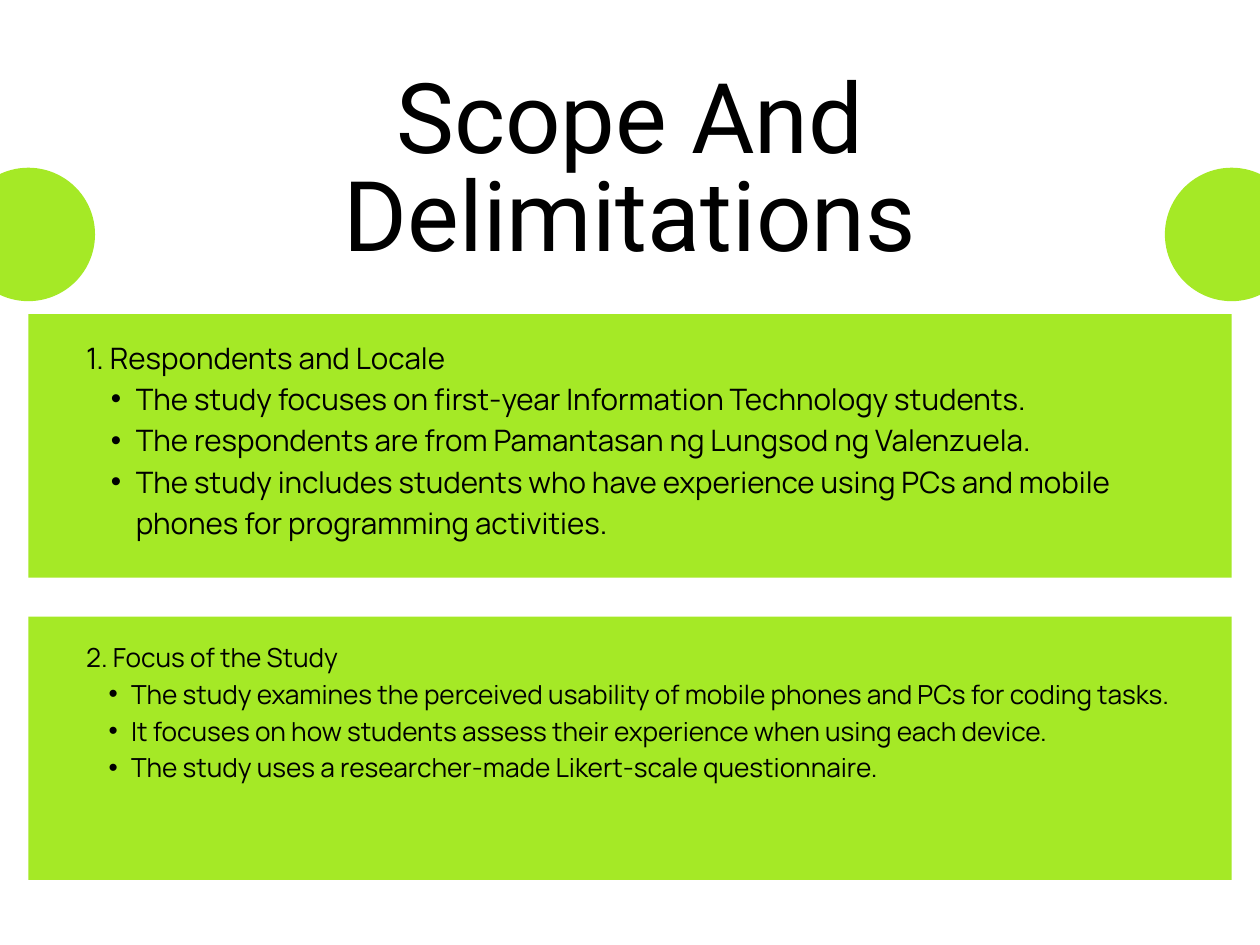
from lxml import etree
from pptx import Presentation
from pptx.dml.color import RGBColor
from pptx.enum.shapes import MSO_SHAPE
from pptx.enum.text import PP_ALIGN
from pptx.oxml.ns import qn
from pptx.util import Inches, Pt

RECTANGLE, OVAL = MSO_SHAPE.RECTANGLE, MSO_SHAPE.OVAL
LEFT, CENTER = PP_ALIGN.LEFT, PP_ALIGN.CENTER

TITLE = "Scope And Delimitations"
SECTIONS = [
    {
        "heading": "1. Respondents and Locale",
        "points": [
            "The study focuses on first-year Information Technology students.",
            "The respondents are from Pamantasan ng Lungsod ng Valenzuela.",
            "The study includes students who have experience using PCs and mobile "
            "phones for programming activities.",
        ],
        "size": 18,
        "hanging": 0.21,
    },
    {
        "heading": "2. Focus of the Study",
        "points": [
            "The study examines the perceived usability of mobile phones and PCs for coding tasks.",
            "It focuses on how students assess their experience when using each device.",
            "The study uses a researcher-made Likert-scale questionnaire.",
        ],
        "size": 16,
        "hanging": 0.19,
    },
]

LIME, BLACK = "A5E926", "000000"
SLIDE_W, SLIDE_H = 10.67, 8
MARGIN = 0.24
PANEL_W, PANEL_H = SLIDE_W - 2 * MARGIN, 2.23
PANEL_TOP, PANEL_STEP = 2.66, 2.56
TEXT_LEFT, TEXT_W, TEXT_DROP = 0.73, 9.2, 0.165
CIRCLE, CIRCLE_TOP = 1.13, 1.42
TITLE_W, TITLE_TOP, TITLE_H = 7.46, 0.64, 1.69


def color(value):
    return RGBColor.from_string(value)


def add_block(slide, kind, left, top, width, height):
    block = slide.shapes.add_shape(
        kind, Inches(left), Inches(top), Inches(width), Inches(height))
    block.shadow.inherit = False
    block.fill.solid()
    block.fill.fore_color.rgb = color(LIME)
    block.line.fill.background()


def add_bullet(paragraph, hanging):
    properties = paragraph._p.get_or_add_pPr()
    properties.set("lvl", "1")
    properties.set("marL", str(Inches(2 * hanging)))
    properties.set("indent", str(-Inches(hanging)))
    etree.SubElement(properties, qn("a:buFont"), typeface="Arial")
    etree.SubElement(properties, qn("a:buChar"), char="•")


def add_text(slide, text, left, top, width, height, *, font, size, leading,
             align=LEFT, points=(), hanging=0):
    box = slide.shapes.add_textbox(
        Inches(left), Inches(top), Inches(width), Inches(height))
    frame = box.text_frame
    frame.word_wrap = True
    frame.margin_left = frame.margin_top = frame.margin_right = frame.margin_bottom = 0
    for index, line in enumerate([text, *points]):
        paragraph = frame.add_paragraph() if index else frame.paragraphs[0]
        if index:
            add_bullet(paragraph, hanging)
        paragraph.alignment = align
        paragraph.line_spacing = Pt(size * leading)
        run = paragraph.add_run()
        run.text = line
        run.font.name = font
        run.font.size = Pt(size)
        run.font.color.rgb = color(BLACK)


def main():
    """Build the scope and delimitations slide."""
    deck = Presentation()
    deck.slide_width, deck.slide_height = Inches(SLIDE_W), Inches(SLIDE_H)
    slide = deck.slides.add_slide(deck.slide_layouts[6])

    add_text(slide, TITLE, (SLIDE_W - TITLE_W) / 2, TITLE_TOP, TITLE_W, TITLE_H,
             font="Roboto", size=59.4, leading=1, align=CENTER)
    for center in (MARGIN, SLIDE_W - MARGIN):
        add_block(slide, OVAL, center - CIRCLE / 2, CIRCLE_TOP, CIRCLE, CIRCLE)
    for row, section in enumerate(SECTIONS):
        top = PANEL_TOP + row * PANEL_STEP
        add_block(slide, RECTANGLE, MARGIN, top, PANEL_W, PANEL_H)
        add_text(slide, section["heading"], TEXT_LEFT, top + TEXT_DROP, TEXT_W,
                 PANEL_H - TEXT_DROP, font="Manrope", size=section["size"],
                 leading=1.4, points=section["points"], hanging=section["hanging"])

    deck.save("out.pptx")


if __name__ == "__main__":
    main()
